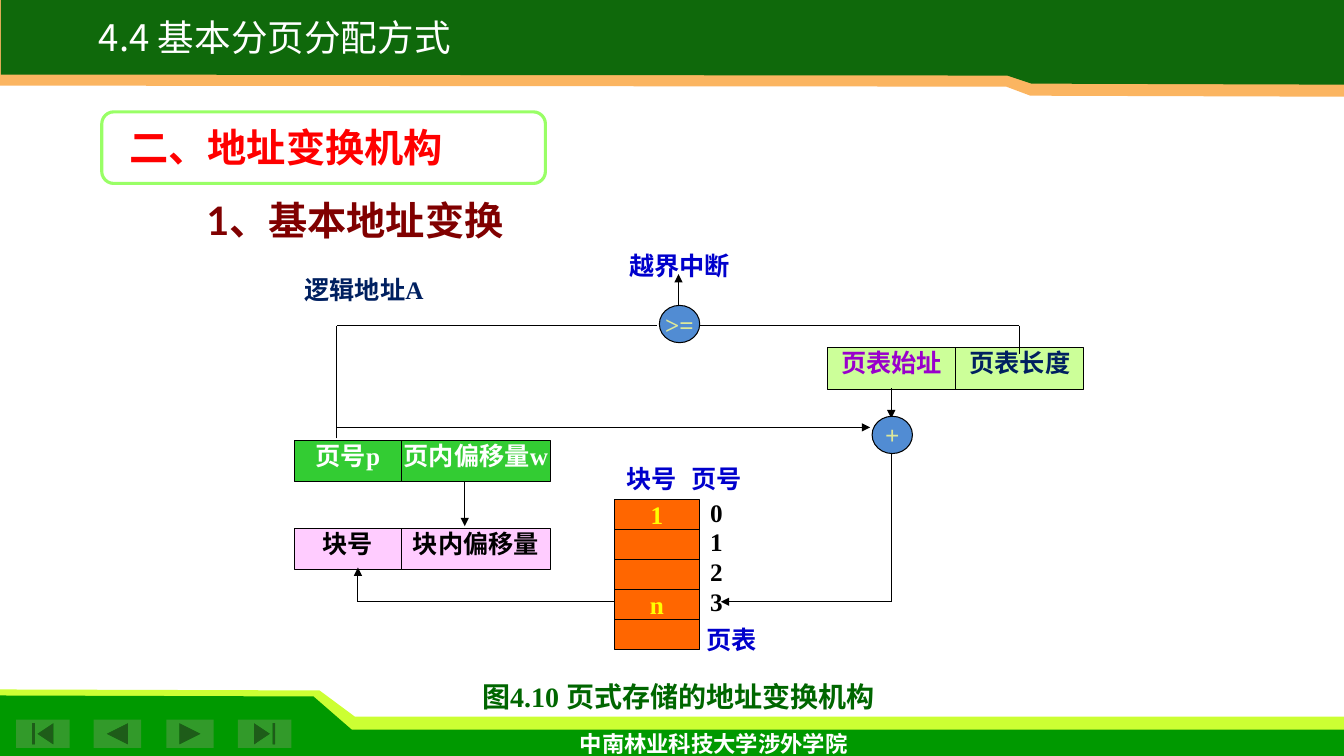
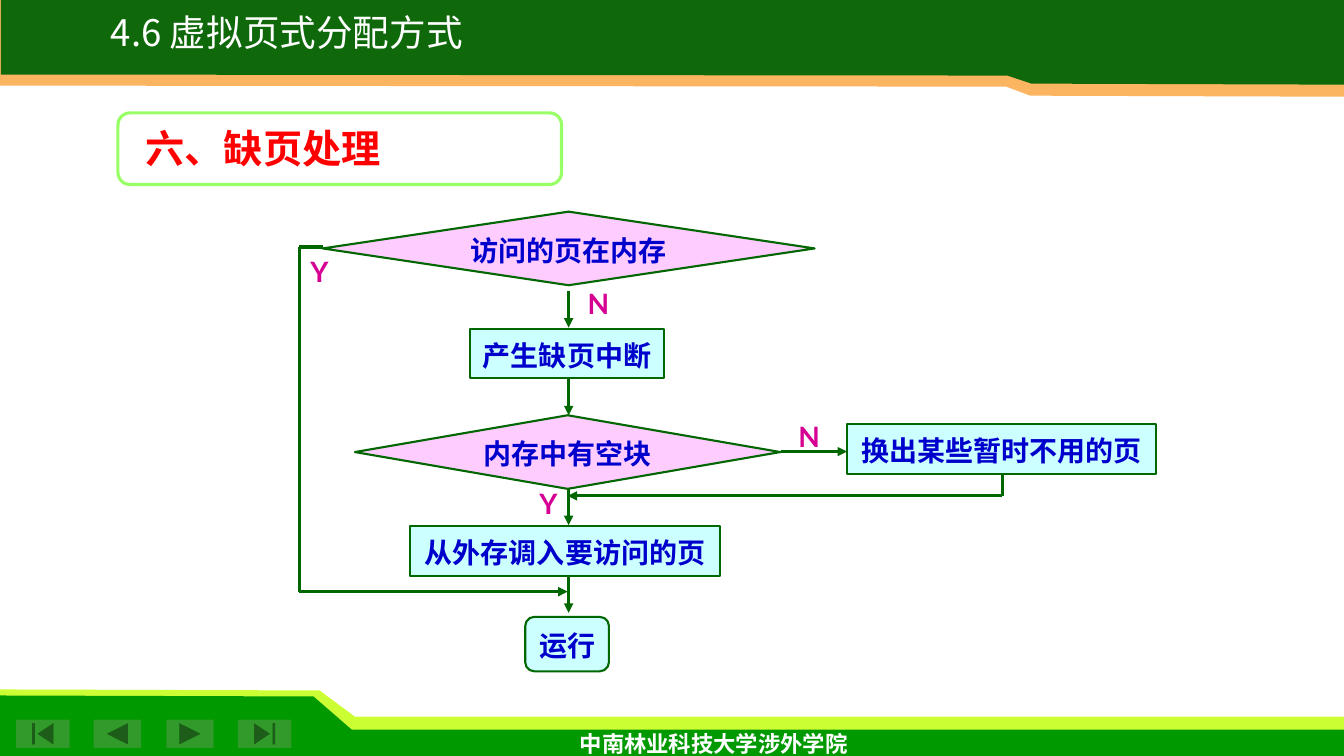
from dataclasses import dataclass

from lxml import etree
from pptx import Presentation
from pptx.dml.color import RGBColor
from pptx.enum.shapes import MSO_CONNECTOR, MSO_SHAPE
from pptx.enum.text import MSO_ANCHOR, MSO_AUTO_SIZE, PP_ALIGN
from pptx.oxml.ns import qn
from pptx.util import Inches, Pt

LEFT, CENTER = PP_ALIGN.LEFT, PP_ALIGN.CENTER
TOP, MIDDLE = MSO_ANCHOR.TOP, MSO_ANCHOR.MIDDLE
RECTANGLE, ROUNDED = MSO_SHAPE.RECTANGLE, MSO_SHAPE.ROUNDED_RECTANGLE
DIAMOND, ELLIPSE = MSO_SHAPE.DIAMOND, MSO_SHAPE.OVAL
STRAIGHT = MSO_CONNECTOR.STRAIGHT
NAVIGATION_BUTTONS = (
    (MSO_SHAPE.ACTION_BUTTON_BEGINNING, 0.16, 0.53),
    (MSO_SHAPE.ACTION_BUTTON_BACK_OR_PREVIOUS, 0.93, 0.47),
    (MSO_SHAPE.ACTION_BUTTON_FORWARD_OR_NEXT, 1.65, 0.47),
    (MSO_SHAPE.ACTION_BUTTON_END, 2.36, 0.53),
)
TITLE_AND_CONTENT, TITLE_ONLY = 1, 5
FIRST_MASTER_ID = 100


@dataclass(frozen=True)
class Theme:
    sans: str = "Lato"
    serif: str = "Times New Roman"
    chinese: str = "Noto Sans CJK SC"
    title_size: float = 26.1
    heading_size: float = 28
    flow_size: float = 20
    diagram_size: float = 18
    footer_size: float = 16
    thin: float = 0.75
    outline: float = 1.5
    thick: float = 2.25
    white: str = "FFFFFF"
    black: str = "000000"
    header: str = "0F690B"
    header_edge: str = "FBB561"
    footer: str = "009900"
    footer_edge: str = "CCFF33"
    button: str = "329A2A"
    heading: str = "FF0000"
    heading_frame: str = "99FF66"
    subheading: str = "800000"
    blue: str = "0000CC"
    navy: str = "002060"
    purple: str = "9900CC"
    magenta: str = "D60093"
    dark_green: str = "006600"
    logical: str = "33CC33"
    register: str = "CCFF99"
    pink: str = "FFCCFF"
    cyan: str = "CCFFFF"
    page_table: str = "FF6600"
    yellow: str = "FFFF00"
    operator: str = "518CD3"
    operator_text: str = "DDE89A"


THEME = Theme()


@dataclass(frozen=True)
class TextStyle:
    color: str
    size: float = THEME.diagram_size
    font: str = THEME.serif
    bold: bool = True
    align: PP_ALIGN = CENTER
    anchor: MSO_ANCHOR = TOP
    insets: tuple = (0, 0, 0.1, 0.05)
    wrap: bool = False
    spacing: float = 1.0


BOX_INSETS = (0.1, 0.05, 0.1, 0.05)
TITLE = TextStyle(THEME.white, THEME.title_size, THEME.chinese, False, LEFT,
                  insets=BOX_INSETS, spacing=0.8)
HEADING = TextStyle(THEME.heading, THEME.heading_size, align=LEFT,
                    insets=(0.24, 0.08, 0.1, 0.05))
SUBHEADING = TextStyle(THEME.subheading, THEME.heading_size, THEME.sans,
                       align=LEFT, insets=BOX_INSETS, wrap=True, spacing=0.9)
FOOTER = TextStyle(THEME.white, THEME.footer_size, THEME.sans,
                   insets=BOX_INSETS, wrap=True)
CAPTION = TextStyle(THEME.dark_green, THEME.flow_size, insets=(0, 0, 0, 0))
FLOW = TextStyle(THEME.blue, THEME.flow_size, THEME.sans, anchor=MIDDLE,
                 insets=BOX_INSETS, spacing=1.1)
BRANCH = TextStyle(THEME.magenta, THEME.flow_size, THEME.sans, align=LEFT,
                   anchor=MIDDLE, insets=BOX_INSETS, spacing=1.1)
OPERATOR = TextStyle(THEME.operator_text, anchor=MIDDLE, insets=(0, 0, 0, 0))


def cell_style(color, anchor=TOP):
    return TextStyle(color, anchor=anchor, insets=(0, 0, 0, 0))


def place(shape, box):
    shape.left, shape.top, shape.width, shape.height = map(Inches, box)


def write(shape, text, style):
    frame = shape.text_frame
    frame.text = text
    frame.auto_size = MSO_AUTO_SIZE.NONE
    frame.word_wrap = style.wrap
    frame.vertical_anchor = style.anchor
    (frame.margin_left, frame.margin_top,
     frame.margin_right, frame.margin_bottom) = map(Inches, style.insets)
    paragraph = frame.paragraphs[0]
    paragraph.alignment = style.align
    paragraph.line_spacing = style.spacing
    paragraph.space_before = Pt(0)
    for run in paragraph.runs:
        font = run.font
        font.name, font.size, font.bold = style.font, Pt(style.size), style.bold
        font.color.rgb = RGBColor.from_string(style.color)
        east_asian = etree.SubElement(run.font._element, qn("a:ea"))
        east_asian.set("typeface", THEME.chinese)


def paint(shape, fill, line=None, width=THEME.thin):
    shape.shadow.inherit = False
    shape.fill.solid()
    shape.fill.fore_color.rgb = RGBColor.from_string(fill)
    if line:
        shape.line.color.rgb = RGBColor.from_string(line)
        shape.line.width = Pt(width)
    else:
        shape.line.fill.background()


def add_box(slide, kind, box, fill, line=None, width=THEME.thin, text="", style=None):
    shape = slide.shapes.add_shape(kind, *map(Inches, box))
    paint(shape, fill, line, width)
    if text:
        write(shape, text, style)
    return shape


def add_label(slide, text, box, style):
    label = slide.shapes.add_textbox(*map(Inches, box))
    write(label, text, style)
    return label


def add_band(slide, points, fill):
    corners = [(Inches(x), Inches(y)) for x, y in points]
    builder = slide.shapes.build_freeform(*corners[0], scale=1.0)
    builder.add_line_segments(corners[1:], close=True)
    band = builder.convert_to_shape()
    paint(band, fill)
    return band


def add_route(slide, points, color, width, arrow=True):
    last = len(points) - 2
    for index, (start, end) in enumerate(zip(points, points[1:])):
        connector = slide.shapes.add_connector(STRAIGHT, *map(Inches, start + end))
        connector.line.color.rgb = RGBColor.from_string(color)
        connector.line.width = Pt(width)
        properties = connector.element.spPr
        if arrow and index == last:
            tail = etree.SubElement(properties.find(qn("a:ln")), qn("a:tailEnd"))
            tail.set("type", "triangle")
        etree.SubElement(properties, qn("a:effectLst"))


def build_master(presentation, slide):
    parts = [
        add_band(slide, [(0, 6.84), (3.17, 6.85), (3.52, 7.11), (13.33, 7.11),
                         (13.33, 7.4), (0, 7.4)], THEME.footer_edge),
        add_band(slide, [(0, 6.9), (3.11, 6.91), (3.49, 7.24), (13.33, 7.24),
                         (13.33, 7.5), (0, 7.5)], THEME.footer),
        add_band(slide, [(0, 0), (13.33, 0), (13.33, 0.96), (10.22, 0.95),
                         (9.98, 0.86), (0, 0.85)], THEME.header_edge),
        add_band(slide, [(0.01, 0), (13.33, 0), (13.33, 0.84), (10.23, 0.83),
                         (9.99, 0.75), (0.01, 0.74)], THEME.header),
    ]
    parts += [add_box(slide, kind, (left, 7.14, width, 0.28), THEME.button)
              for kind, left, width in NAVIGATION_BUTTONS]
    parts.append(add_label(slide, "中南林业科技大学涉外学院",
                           (4.86, 7.19, 4.44, 0.31), FOOTER))
    master_tree = presentation.slide_master.shapes.element
    for number, part in enumerate(parts, FIRST_MASTER_ID):
        part.element.xpath(".//p:cNvPr")[0].set("id", str(number))
        master_tree.append(part.element)


def add_headings(slide, title, title_position, heading, heading_position):
    place(slide.shapes.title, title_position + (4.4, 0.46))
    write(slide.shapes.title, title, TITLE)
    add_box(slide, ROUNDED, heading_position + (4.4, 0.71), THEME.white,
            THEME.heading_frame, THEME.thick, heading, HEADING)


def add_cells(slide, left, top, fill, cells):
    for text, width, color in cells:
        add_box(slide, RECTANGLE, (left, top, width, 0.41), fill, THEME.black,
                text=text, style=cell_style(color))
        left += width


def add_page_table(slide):
    left, top, width, height = 6.09, 4.96, 0.85, 1.48
    entries = ("1", "", "", "n", "")
    row = height / len(entries)
    for index, entry in enumerate(entries):
        y = top + index * row
        add_box(slide, RECTANGLE, (left, y, width, row), THEME.page_table,
                THEME.black, text=entry, style=cell_style(THEME.yellow, MIDDLE))
        if index < len(entries) - 1:
            add_label(slide, str(index), (6.73, y - 0.03, width, 0.4),
                      TextStyle(THEME.black))


def build_address_slide(slide):
    add_headings(slide, "4.4 基本分页分配方式", (0.88, 0.18),
                 "二、地址变换机构", (1.01, 1.11))
    body = slide.placeholders[1]
    place(body, (1.95, 1.95, 4.16, 0.55))
    write(body, "1、基本地址变换", SUBHEADING)
    properties = body.text_frame.paragraphs[0]._p.get_or_add_pPr()
    properties.set("marL", "0")
    properties.set("indent", "0")
    etree.SubElement(properties, qn("a:buNone"))

    add_cells(slide, 2.92, 4.37, THEME.logical,
              [("页号p", 1.06, THEME.white), ("页内偏移量w", 1.48, THEME.white)])
    add_cells(slide, 2.92, 5.24, THEME.pink,
              [("块号", 1.06, THEME.black), ("块内偏移量", 1.48, THEME.black)])
    add_cells(slide, 8.21, 3.45, THEME.register,
              [("页表始址", 1.27, THEME.purple), ("页表长度", 1.27, THEME.navy)])
    add_page_table(slide)

    for points, arrow in (
        ([(3.34, 4.35), (3.34, 3.23), (6.52, 3.23)], False),
        ([(6.94, 3.23), (10.11, 3.23), (10.11, 3.51)], False),
        ([(3.34, 4.24), (8.63, 4.24)], True),
        ([(6.73, 3.06), (6.73, 2.72)], True),
        ([(8.84, 3.85), (8.84, 4.15)], True),
        ([(8.84, 4.5), (8.84, 5.97), (7.15, 5.97)], True),
        ([(6.09, 5.97), (3.55, 5.97), (3.55, 5.63)], True),
        ([(4.61, 4.77), (4.61, 5.22)], True),
    ):
        add_route(slide, points, THEME.black, THEME.thin, arrow)
    for text, left, top in ((">=", 6.54, 3.03), ("+", 8.65, 4.13)):
        add_box(slide, ELLIPSE, (left, top, 0.4, 0.37), THEME.operator,
                THEME.black, text=text, style=OPERATOR)
    for text, left, top, width, color in (
        ("逻辑地址A", 2.92, 2.72, 1.48, THEME.navy),
        ("越界中断", 6.05, 2.48, 1.48, THEME.blue),
        ("块号", 6.09, 4.6, 0.85, THEME.blue),
        ("页号", 6.73, 4.6, 0.85, THEME.blue),
        ("页表", 6.88, 6.19, 0.85, THEME.blue),
    ):
        add_label(slide, text, (left, top, width, 0.4), TextStyle(color))
    add_label(slide, "图4.10 页式存储的地址变换机构", (4.19, 6.74, 5.08, 0.41), CAPTION)


def build_fault_slide(slide):
    add_headings(slide, "4.6 虚拟页式分配方式", (1, 0.13),
                 "六、缺页处理", (1.17, 1.12))
    for kind, text, box, fill in (
        (DIAMOND, "访问的页在内存", (3.2, 2.1, 4.88, 0.73), THEME.pink),
        (RECTANGLE, "产生缺页中断", (4.66, 3.26, 1.93, 0.49), THEME.cyan),
        (DIAMOND, "内存中有空块", (3.52, 4.12, 4.22, 0.73), THEME.pink),
        (RECTANGLE, "从外存调入要访问的页", (4.07, 5.22, 3.07, 0.49), THEME.cyan),
        (RECTANGLE, "换出某些暂时不用的页", (8.4, 4.21, 3.07, 0.49), THEME.cyan),
        (ROUNDED, "运行", (5.21, 6.12, 0.83, 0.54), THEME.cyan),
    ):
        add_box(slide, kind, box, fill, THEME.dark_green, THEME.outline, text, FLOW)
    steps = [[(5.64, top), (5.64, top + 0.36)] for top in (2.89, 3.76, 4.85, 5.72)]
    for points in steps + [
        [(7.75, 4.48), (8.4, 4.48)],
        [(9.94, 4.7), (9.94, 4.92), (5.63, 4.92)],
        [(3.2, 2.45), (2.97, 2.45), (2.97, 5.87), (5.63, 5.87)],
    ]:
        add_route(slide, points, THEME.dark_green, THEME.thick)
    for text, left, top in (("N", 5.73, 2.75), ("Y", 2.98, 2.43),
                            ("N", 7.82, 4.07), ("Y", 5.25, 4.73)):
        add_label(slide, text, (left, top, 0.42, 0.49), BRANCH)


def main():
    presentation = Presentation()
    presentation.slide_width, presentation.slide_height = Inches(13.33), Inches(7.5)
    layouts = presentation.slide_layouts
    address_slide = presentation.slides.add_slide(layouts[TITLE_AND_CONTENT])
    build_master(presentation, address_slide)
    build_address_slide(address_slide)
    build_fault_slide(presentation.slides.add_slide(layouts[TITLE_ONLY]))
    presentation.save("out.pptx")


if __name__ == "__main__":
    main()
